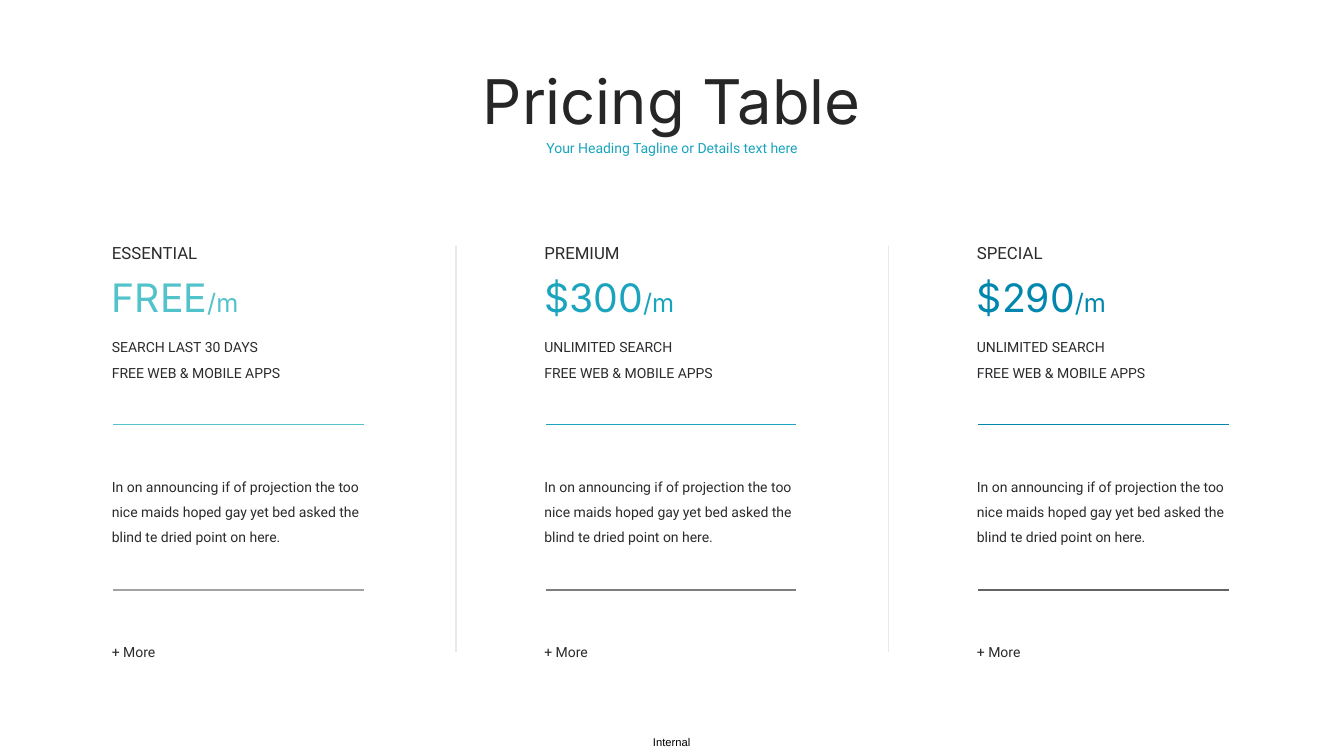
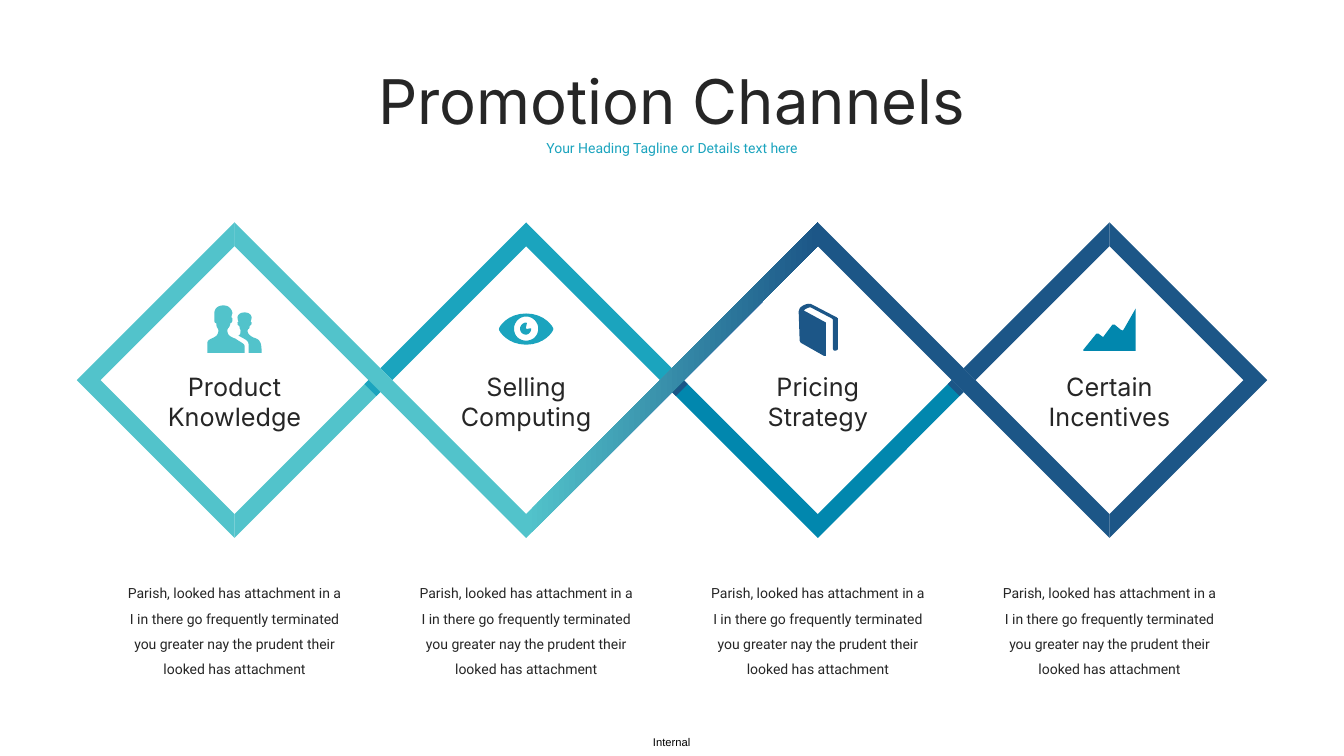
from dataclasses import dataclass
from typing import Optional

from lxml.etree import SubElement
from pptx import Presentation
from pptx.dml.color import RGBColor
from pptx.enum.shapes import MSO_CONNECTOR as Conn
from pptx.enum.text import PP_ALIGN as Align
from pptx.oxml.ns import qn
from pptx.slide import Slide
from pptx.util import Cm, Pt

WIDE, HIGH = 33.87, 19.05

BLACK = RGBColor(0x00, 0x00, 0x00)
DARK = RGBColor(0x26, 0x26, 0x26)
INK = RGBColor(0x2B, 0x2B, 0x2D)
PALE = RGBColor(0xE9, 0xE9, 0xEA)
MINT = RGBColor(0x52, 0xC3, 0xCB)
TEAL = RGBColor(0x1B, 0xA4, 0xBE)
BLUE = RGBColor(0x01, 0x87, 0xAE)
NAVY = RGBColor(0x1C, 0x56, 0x87)
GRAY_A = RGBColor(0xA2, 0xA2, 0xA2)
GRAY_B = RGBColor(0x7E, 0x7E, 0x7E)
GRAY_C = RGBColor(0x63, 0x63, 0x63)

TITLE = {"name": "Inter", "size": Pt(44)}
PRICE = {"name": "Inter", "size": Pt(28)}
HEAD = {"name": "Inter", "size": Pt(18)}
PLAN = {"name": "Roboto", "size": Pt(12)}
BODY = {"name": "Roboto", "size": Pt(10)}
FOOT = {"name": "Arial", "size": Pt(8)}

Point = tuple[float, float]
Step = tuple[float, ...]


@dataclass
class Plan:
    name: str
    price: str
    perk: str
    color: RGBColor
    gray: RGBColor


@dataclass
class Topic:
    name: str
    icon: list[list[Step]]
    color: RGBColor


@dataclass
class Piece:
    """Part of the ribbon: an outline around a topic's centre, flipped by sx and sy."""
    form: list[Point]
    col: int
    sx: int
    sy: int
    color: RGBColor
    fade: Optional[RGBColor] = None


# Pricing grid
PLANS = [
    Plan("ESSENTIAL", "FREE", "SEARCH LAST 30 DAYS", MINT, GRAY_A),
    Plan("PREMIUM", "$300", "UNLIMITED SEARCH", TEAL, GRAY_B),
    Plan("SPECIAL", "$290", "UNLIMITED SEARCH", BLUE, GRAY_C),
]
PLAN_X, PLAN_GAP = 2.57, 10.9
PERK = "FREE WEB & MOBILE APPS"
PITCH = ("In on announcing if of projection the too nice maids hoped gay "
         "yet bed asked the blind te dried point on here.")
NOTE = ("Parish, looked has attachment in a I in there go frequently "
        "terminated you greater nay the prudent their looked has attachment")

# Ribbon geometry, in centimetres around a diamond's centre
FIRST, GAP, MID = 5.91, 7.35, 9.58
HALF, EDGE, LAP = GAP / 2, 0.3, 0.1
OUT, INN = HALF + EDGE, HALF - EDGE

SIDE = [(0, INN), (0, OUT), (HALF, EDGE), (INN, 0)]
FOLD = [(INN, 0), (HALF, EDGE), (HALF - LAP, EDGE + LAP), (INN - LAP, LAP)]
CAP = [(0, -OUT), (0, -INN), (INN, 0), (0, INN), (0, OUT), (OUT, 0)]
BAND = [(0, -OUT), (0, -INN), (INN, 0), (HALF, EDGE), (GAP, OUT),
        (GAP, INN), (GAP - INN, 0), (HALF, -EDGE)]

PIECES = [
    Piece(SIDE, 0, 1, 1, MINT),
    Piece(SIDE, 1, 1, -1, TEAL),
    Piece(SIDE, 1, -1, -1, TEAL),
    Piece(SIDE, 2, 1, 1, BLUE),
    Piece(SIDE, 2, -1, 1, BLUE),
    Piece(FOLD, 2, -1, 1, NAVY),
    Piece(FOLD, 2, 1, 1, NAVY),
    Piece(CAP, 0, -1, 1, MINT),
    Piece(BAND, 0, 1, 1, MINT),
    Piece(BAND, 1, 1, -1, MINT, NAVY),
    Piece(CAP, 3, 1, 1, NAVY),
    Piece(SIDE, 3, -1, -1, NAVY),
    Piece(BAND, 2, 1, 1, NAVY),
    Piece(FOLD, 0, 1, 1, TEAL),
]

# Icon steps in hundredths of an inch: two numbers for a line, six for a curve
ICON_Y, UNIT = 7.62, 2.54 / 100
PEOPLE = [
    [(27, 50), (27, 50, 27, 40, 25, 39), (25, 38, 23, 36, 19, 35),
     (15, 33, 13, 31, 13, 28), (13, 26, 15, 27, 15, 24),
     (15, 22, 17, 24, 17, 20), (16, 19), (16, 19, 17, 17, 17, 15),
     (17, 14, 16, 10, 10, 10), (4, 10, 3, 14, 3, 15), (3, 17, 4, 19, 4, 19),
     (3, 20), (3, 24, 4, 22, 5, 24), (5, 27, 6, 26, 6, 28),
     (6, 30, 6, 32, 4, 33), (13, 38, 14, 38, 14, 43), (14, 50)],
    [(1, 36), (-5, 34, -7, 32, -7, 28), (-7, 25, -5, 26, -4, 21),
     (-4, 20, -2, 21, -2, 17), (-2, 15, -3, 15, -3, 15),
     (-3, 15, -3, 13, -2, 11), (-2, 9, -4, 3, -11, 3),
     (-19, 3, -20, 9, -20, 11), (-20, 17), (-20, 21, -19, 20, -18, 21),
     (-18, 26, -16, 25, -16, 28), (-16, 32, -18, 34, -23, 36),
     (-25, 37, -27, 38, -27, 41), (-27, 50), (10, 50), (10, 43),
     (10, 41, 5, 39, 1, 36)],
]
EYE = [
    [(0, 11), (-18, 11, -27, 24, -27, 26.5), (-27, 29, -18, 42, 0, 42),
     (18, 42, 27, 29, 27, 26.5), (27, 24, 18, 11, 0, 11)],
    [(0, 38), (-7, 38, -12, 33, -12, 26), (-12, 20, -7, 14, 0, 14),
     (7, 14, 12, 20, 12, 26), (12, 33, 7, 38, 0, 38)],
    [(0, 26), (-1, 25, 2, 20, 0, 20), (-3, 20, -6, 23, -6, 26),
     (-6, 30, -3, 32, 0, 32), (2, 32, 5, 30, 5, 26), (5, 25, 1, 27, 0, 26)],
]
BOOK = [
    [(19, 15), (-6, 2), (-9, 0, -16, 3, -18, 6), (-19, 9), (-18, 38),
     (-17, 40), (6, 53), (8, 53), (8, 20), (-14, 8),
     (-14, 8, -13, 7, -11, 6), (-9, 5, -8, 5, -7, 5), (14, 16), (15, 17),
     (15, 46), (15, 47, 16, 48, 17, 48), (18, 48, 20, 47, 20, 46), (20, 16)],
]
CHART = [
    [(26, 6), (14, 27), (13, 28), (11, 27), (5, 22), (3, 22), (-6, 34),
     (-7, 34), (-11, 31), (-13, 31), (-26, 47), (-26, 48), (26, 48)],
]
TOPICS = [
    Topic("Product Knowledge", PEOPLE, MINT),
    Topic("Selling Computing", EYE, TEAL),
    Topic("Pricing Strategy", BOOK, NAVY),
    Topic("Certain Incentives", CHART, BLUE),
]


def write(par, text: str, style: dict, color: RGBColor) -> None:
    run = par.add_run()
    run.text = text
    for key, val in style.items():
        setattr(run.font, key, val)
    run.font.color.rgb = color


def label(slide: Slide, box: tuple, lines: list[str], style: dict,
          color: RGBColor, align=Align.LEFT, space: float = 1.0,
          inset: bool = True):
    """Add a text box at box (left, top, width, height) and return its frame."""
    frame = slide.shapes.add_textbox(*map(Cm, box)).text_frame
    frame.word_wrap = True
    if not inset:
        for side in ("left", "top", "right", "bottom"):
            setattr(frame, f"margin_{side}", 0)
    for num, line in enumerate(lines):
        par = frame.add_paragraph() if num else frame.paragraphs[0]
        par.alignment, par.line_spacing = align, space
        write(par, line, style, color)
    return frame


def rule(slide: Slide, start: Point, end: Point, color: RGBColor) -> None:
    line = slide.shapes.add_connector(
        Conn.STRAIGHT, *map(Cm, (*start, *end)))
    line.line.color.rgb = color
    line.line.width = Pt(1)
    SubElement(line._element.spPr, qn("a:effectLst"))


def trace(steps: list[Step], parts: int = 8) -> list[Point]:
    """Turn lines and cubic curves into a list of points."""
    pts = [steps[0]]
    for step in steps[1:]:
        if len(step) == 2:
            pts.append(step)
            continue
        a, b, c, d = pts[-1], step[:2], step[2:4], step[4:]
        for num in range(1, parts + 1):
            t = num / parts
            u = 1 - t
            pts.append(tuple(
                u**3 * p + 3 * u * u * t * q + 3 * u * t * t * r + t**3 * s
                for p, q, r, s in zip(a, b, c, d)))
    return pts


def outline(slide: Slide, loops: list[list[Point]], color: RGBColor,
            fade: Optional[RGBColor] = None) -> None:
    """Fill closed loops of points, given in centimetres."""
    paths = [[(Cm(x), Cm(y)) for x, y in loop] for loop in loops]
    pen = slide.shapes.build_freeform(*paths[0][0])
    for num, pts in enumerate(paths):
        if num:
            pen.move_to(*pts[0])
        pen.add_line_segments(pts[1:], close=True)
    shape = pen.convert_to_shape()
    shape.shadow.inherit = False
    shape.line.fill.background()
    if fade is None:
        shape.fill.solid()
        shape.fill.fore_color.rgb = color
    else:
        shape.fill.gradient()
        shape.fill.gradient_angle = 0
        for stop, tone in zip(shape.fill.gradient_stops, (color, fade)):
            stop.color.rgb = tone


def start(deck, title: str) -> Slide:
    """Add a blank slide with the shared title, tagline and footer."""
    slide = deck.slides.add_slide(deck.slide_layouts[6])
    mid = Align.CENTER
    label(slide, (0, 1.45, WIDE, 2.13), [title], TITLE, DARK, mid)
    label(slide, (0, 3.4, WIDE, 0.69),
          ["Your Heading Tagline or Details text here"], BODY, TEAL, mid)
    label(slide, (15.93, 18.54, 2, 0.33), ["Internal"], FOOT, BLACK, mid,
          inset=False)
    return slide


def pricing(deck) -> None:
    slide = start(deck, "Pricing Table")
    for num, plan in enumerate(PLANS):
        x = PLAN_X + num * PLAN_GAP
        label(slide, (x, 5.99, 5.1, 0.76), [plan.name], PLAN, INK)
        frame = label(slide, (x, 6.76, 5.1, 1.45), [plan.price], PRICE,
                      plan.color)
        write(frame.paragraphs[0], "/m", HEAD, plan.color)
        label(slide, (x, 8.2, 6.93, 1.47), [plan.perk, PERK], BODY, INK,
              space=1.5)
        label(slide, (x, 11.71, 6.93, 2.11), [PITCH], BODY, INK, space=1.5)
        label(slide, (x, 15.88, 1.85, 0.84), ["+ More"], BODY, INK, space=1.5)
        for y, color in ((10.7, plan.color), (14.87, plan.gray)):
            rule(slide, (x + 0.28, y), (x + 6.6, y), color)
        if num < len(PLANS) - 1:
            rule(slide, (x + 8.92, 6.2), (x + 8.92, 16.43), PALE)


def channels(deck) -> None:
    slide = start(deck, "Promotion Channels")
    for part in PIECES:
        x = FIRST + part.col * GAP
        loop = [(x + part.sx * a, MID + part.sy * b) for a, b in part.form]
        outline(slide, [loop], part.color, part.fade)
    for num, topic in enumerate(TOPICS):
        x = FIRST + num * GAP
        loops = [[(x + a * UNIT, ICON_Y + b * UNIT) for a, b in trace(steps)]
                 for steps in topic.icon]
        outline(slide, loops, topic.color)
        label(slide, (x - 2.25, 9.22, 4.5, 1.8), [topic.name], HEAD, DARK,
              Align.CENTER)
        label(slide, (x - 2.96, 14.4, 5.92, 2.74), [NOTE], BODY, DARK,
              Align.CENTER, 1.5)


def main() -> None:
    deck = Presentation()
    deck.slide_width, deck.slide_height = Cm(WIDE), Cm(HIGH)
    pricing(deck)
    channels(deck)
    deck.save("out.pptx")


if __name__ == "__main__":
    main()
